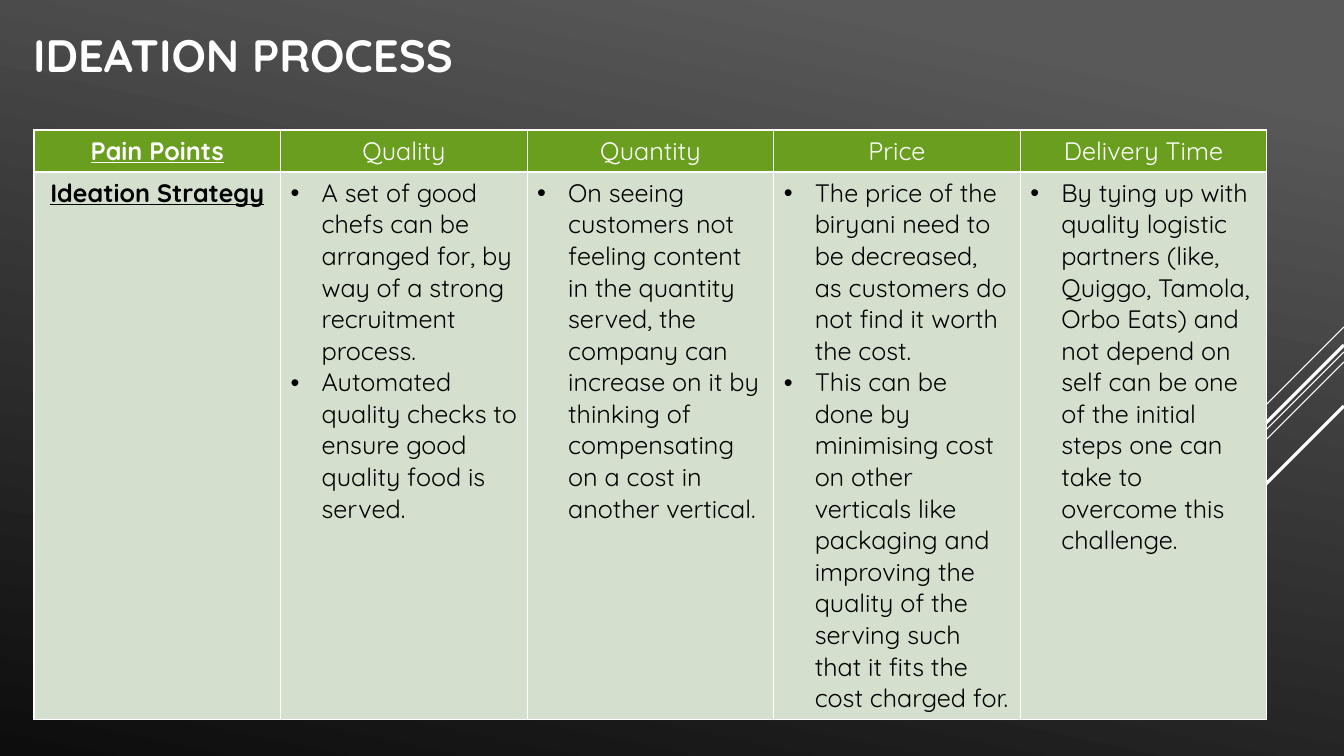
from lxml import etree
from pptx import Presentation
from pptx.dml.color import RGBColor
from pptx.enum.shapes import MSO_CONNECTOR
from pptx.enum.text import MSO_ANCHOR, MSO_AUTO_SIZE, PP_ALIGN
from pptx.oxml.ns import qn
from pptx.util import Pt

STRAIGHT = MSO_CONNECTOR.STRAIGHT
LEFT, CENTER = PP_ALIGN.LEFT, PP_ALIGN.CENTER
MIDDLE, TOP = MSO_ANCHOR.MIDDLE, MSO_ANCHOR.TOP
FONT = "Quicksand"
WHITE, BLACK, GREEN, PALE_GREEN = "FFFFFF", "000000", "6A9E1F", "D4DFCD"
WIDTH, HEIGHT = 1344, 756


def px(length):
    return round(length * 914400 / 100.8)


def color(hex_string):
    return RGBColor.from_string(hex_string)


presentation = Presentation()
presentation.slide_width, presentation.slide_height = px(WIDTH), px(HEIGHT)
slide = presentation.slides.add_slide(presentation.slide_layouts[5])

# Background gradient
background = slide.background.fill
background.gradient()
background.gradient_angle = 258
for stop, position, shade in zip(background.gradient_stops, (0.1, 1), ("595959", "0D0D0D")):
    stop.position = position
    stop.color.rgb = color(shade)

# Diagonal lines from the right edge: top, run, weight
for top, run, weight in [(327, 101, 0.75), (352, 329, 0.75), (362, 209, 0.75),
                         (345, 193, 2.25), (406, 140, 2.25)]:
    line = slide.shapes.add_connector(
        STRAIGHT, px(WIDTH), px(top), px(WIDTH - run), px(top + run))
    line.line.color.rgb = color(WHITE)
    line.line.width = Pt(weight)
    etree.SubElement(line._element.spPr, qn("a:effectLst"))

# Title
title = slide.shapes.title
title.left, title.top, title.width, title.height = px(23), px(30), px(544), px(49)
frame = title.text_frame
frame.text = "IDEATION PROCESS"
frame.word_wrap = True
frame.auto_size = MSO_AUTO_SIZE.NONE
frame.vertical_anchor = MIDDLE
heading = frame.paragraphs[0]
heading.alignment = LEFT
heading.font.name, heading.font.size, heading.font.bold = FONT, Pt(32.4), True
heading.font.color.rgb = color(WHITE)

# Table content: one list of paragraphs per cell
rows = [
    [["Pain Points"], ["Quality"], ["Quantity"], ["Price"], ["Delivery Time"]],
    [
        ["Ideation Strategy"],
        ["A set of good chefs can be arranged for, by way of a strong recruitment process.",
         "Automated quality checks to ensure good quality food is served."],
        ["On seeing customers not feeling content in the quantity served, the company can "
         "increase on it by thinking of compensating on a cost in another vertical."],
        ["The price of the biryani need to be decreased, as customers do not find it worth "
         "the cost.",
         "This can be done by minimising cost on other verticals like packaging and improving "
         "the quality of the serving such that it fits the cost charged for."],
        ["By tying up with quality logistic partners (like, Quiggo, Tamola, Orbo Eats) and not "
         "depend on self can be one of the initial steps one can take to overcome this "
         "challenge."],
    ],
]
row_heights = (42, 547)
table = slide.shapes.add_table(
    len(rows), len(rows[0]), px(34), px(130), px(1233), px(sum(row_heights))).table

for row_index, row in enumerate(rows):
    table.rows[row_index].height = px(row_heights[row_index])
    is_header = row_index == 0
    for column_index, texts in enumerate(row):
        is_label = column_index == 0
        cell = table.cell(row_index, column_index)
        cell.vertical_anchor = TOP
        cell.text = "\n".join(texts)

        # Borders and fill
        properties = cell._tc.get_or_add_tcPr()
        for side in ("lnL", "lnR", "lnT", "lnB"):
            border = etree.SubElement(properties, qn(f"a:{side}"), w=str(Pt(1)))
            border_fill = etree.SubElement(border, qn("a:solidFill"))
            etree.SubElement(border_fill, qn("a:srgbClr"), val=WHITE)
        cell.fill.solid()
        cell.fill.fore_color.rgb = color(GREEN if is_header else PALE_GREEN)

        # Text, bulleted in the strategy cells
        for paragraph in cell.text_frame.paragraphs:
            if is_header or is_label:
                paragraph.alignment = CENTER
            else:
                paragraph_properties = paragraph._p.get_or_add_pPr()
                paragraph_properties.set("marL", str(px(31)))
                paragraph_properties.set("indent", str(px(-31)))
                etree.SubElement(paragraph_properties, qn("a:buFont"), typeface="Arial")
                etree.SubElement(paragraph_properties, qn("a:buChar"), char="•")
            font = paragraph.font
            font.name, font.size = FONT, Pt(18)
            font.bold = font.underline = is_label
            font.color.rgb = color(WHITE if is_header else BLACK)

presentation.save("out.pptx")
